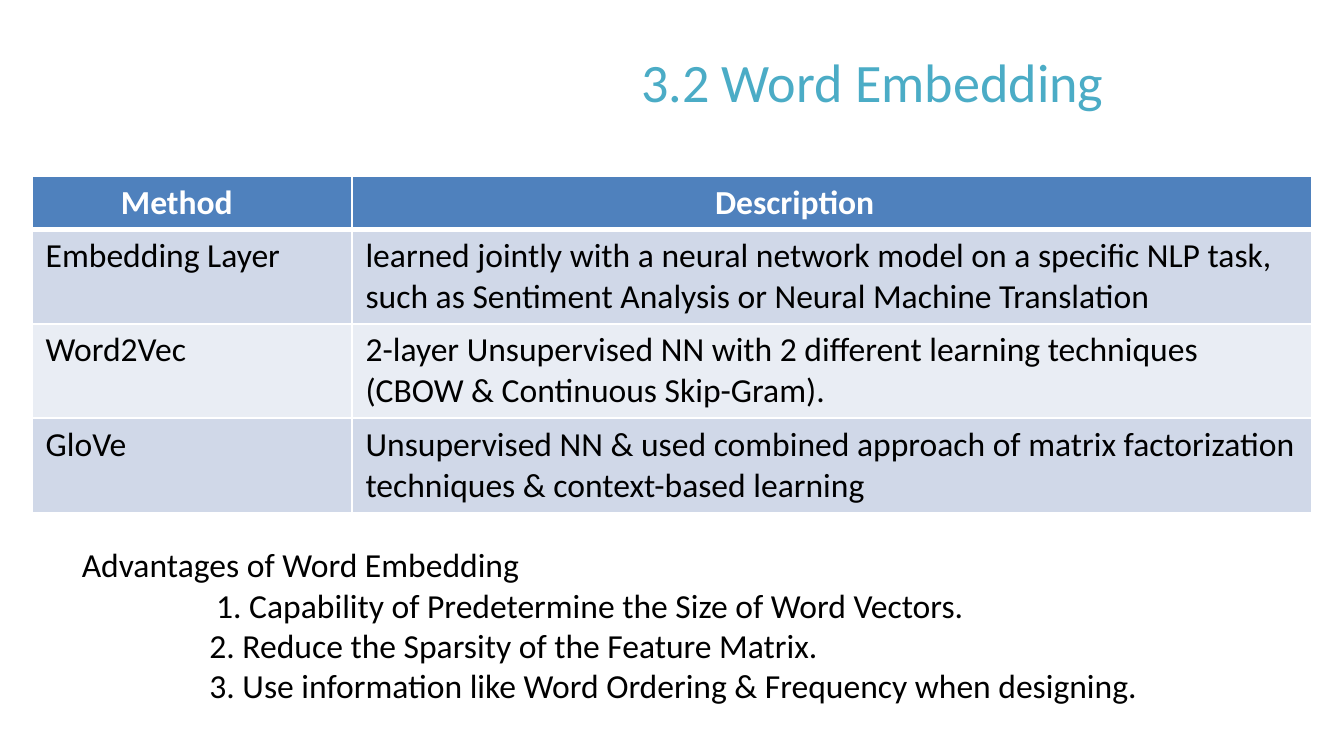
from pptx import Presentation
from pptx.util import Inches as In, Pt
from pptx.dml.color import RGBColor
from pptx.enum.text import PP_ALIGN as Align, MSO_ANCHOR as Anchor, MSO_AUTO_SIZE as Auto
from pptx.oxml import parse_xml
from pptx.oxml.ns import nsdecls

W = 10
H = W * 9 / 16
TITLE = "3.2 Word Embedding"
ROWS = [
    ("Method", "Description"),
    ("Embedding Layer", "learned jointly with a neural network model on a specific NLP task, "
     "such as Sentiment Analysis or Neural Machine Translation"),
    ("Word2Vec", "2-layer Unsupervised NN with 2 different learning techniques "
     "(CBOW & Continuous Skip-Gram)."),
    ("GloVe", "Unsupervised NN & used combined approach of matrix factorization "
     "techniques & context-based learning"),
]
NOTES = [
    ("Advantages of Word Embedding", 0),
    ("1. Capability of Predetermine the Size of Word Vectors.", 1),
    ("2. Reduce the Sparsity of the Feature Matrix.", 0.95),
    ("3. Use information like Word Ordering & Frequency when designing.", 0.95),
]
HEAD, BANDS = "4F81BD", ("E9EDF4", "D0D8E8")
WIDE, SHARES = 9.52, (1 / 4, 3 / 4)
HIGH, INSETS = (0.37, 0.7), (0.66, 2.7)
PAD = {"margin_top": Pt(3.3), "margin_bottom": Pt(3.3)}
HEADING = {"size": Pt(29), "name": "Calibri", "bold": False}
BODY = {"size": Pt(18), "name": "Calibri", "bold": False}
LABEL = {**BODY, "bold": True}


def paint(fmt, hue):
    """Give a fill or a font a solid colour."""
    if hasattr(fmt, "solid"):
        fmt.solid()
        fmt = fmt.fore_color
    else:
        fmt = fmt.color
    fmt.rgb = RGBColor.from_string(hue)


def edge(cell, last):
    """Draw white cell borders, the bottom one with its own weight."""
    props = cell._tc.get_or_add_tcPr()
    for i, (side, size) in enumerate(zip("LRTB", (1, 1, 1, last))):
        props.insert(i, parse_xml(
            f'<a:ln{side} {nsdecls("a")} w="{Pt(size)}"><a:solidFill>'
            f'<a:srgbClr val="FFFFFF"/></a:solidFill></a:ln{side}>'))


def write(para, text, look, hue, indent=0):
    """Fill a paragraph with one formatted run, indented in inches."""
    run = para.add_run()
    run.text = text
    for key, val in look.items():
        setattr(run.font, key, val)
    paint(run.font, hue)
    para.alignment = Align.LEFT
    if indent:
        para._p.get_or_add_pPr().set("marL", str(In(indent)))


def place(shape, *box):
    """Set left, top, width and height in inches."""
    for key, val in zip(("left", "top", "width", "height"), box):
        setattr(shape, key, In(val))


def add_grid(slide):
    """Draw the table of methods."""
    tall = HIGH[0] + HIGH[1] * (len(ROWS) - 1)
    grid = slide.shapes.add_table(len(ROWS), len(SHARES), In(0.24), In(1.31),
                                  In(WIDE), In(tall)).table
    for col, share in zip(grid.columns, SHARES):
        col.width = In(WIDE * share)
    for r, row in enumerate(ROWS):
        grid.rows[r].height = In(HIGH[min(r, 1)])
        for c, text in enumerate(row):
            cell = grid.cell(r, c)
            for key, val in PAD.items():
                setattr(cell, key, val)
            paint(cell.fill, BANDS[r % 2] if r else HEAD)
            edge(cell, 1 if r else 3)
            if not r:
                cell.margin_left = In(INSETS[c])
            write(cell.text_frame.paragraphs[0], text, BODY if r else LABEL,
                  "000000" if r else "FFFFFF")


def main():
    """Build the slide."""
    deck = Presentation()
    deck.slide_width, deck.slide_height = In(W), In(H)
    slide = deck.slides.add_slide(deck.slide_layouts[5])
    title = slide.shapes.title
    place(title, 4.67, 0.31, W - 4.77, 0.59)
    frame = title.text_frame
    frame.auto_size, frame.vertical_anchor = Auto.NONE, Anchor.TOP
    write(frame.paragraphs[0], TITLE, HEADING, "4BACC6")
    add_grid(slide)
    frame = slide.shapes.add_textbox(In(0.51), In(4), In(W - 0.61), In(1.31)).text_frame
    frame.word_wrap = True
    for i, (text, indent) in enumerate(NOTES):
        para = frame.add_paragraph() if i else frame.paragraphs[0]
        write(para, text, BODY, "000000", indent)
    deck.save("out.pptx")


if __name__ == "__main__":
    main()
